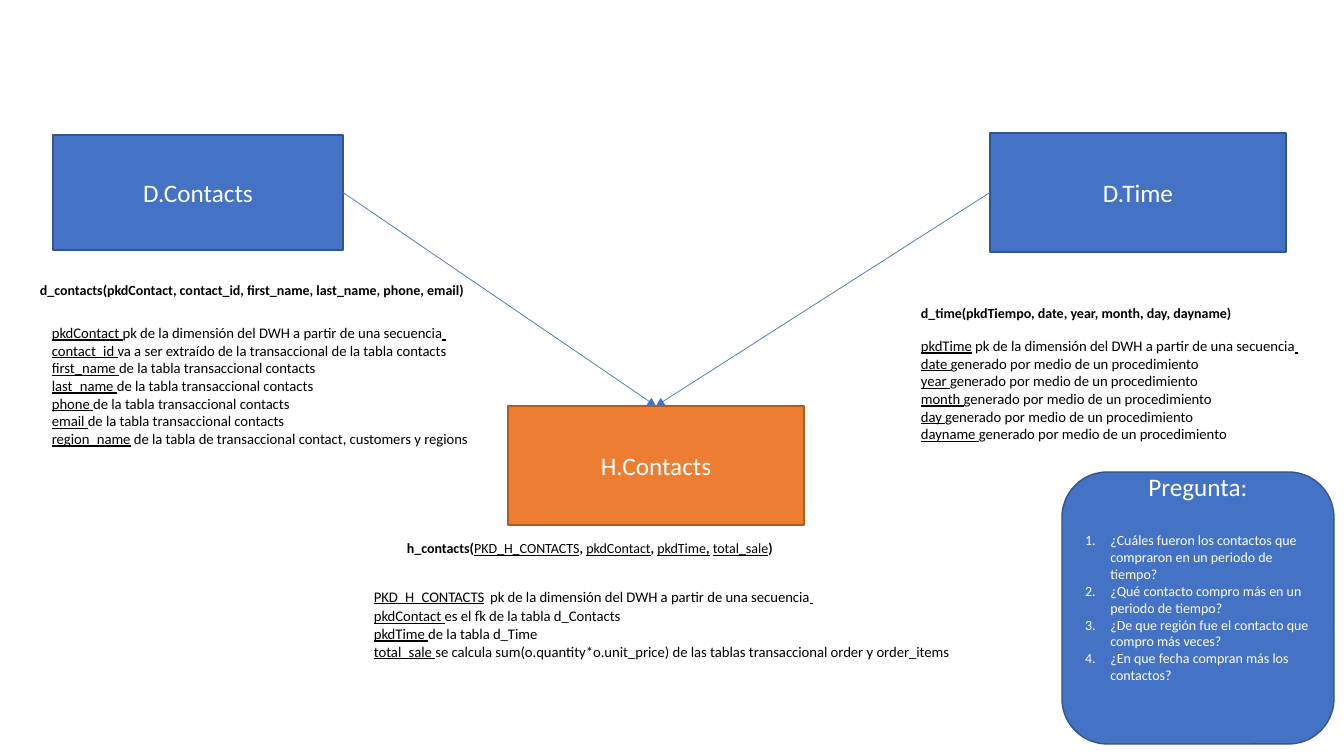
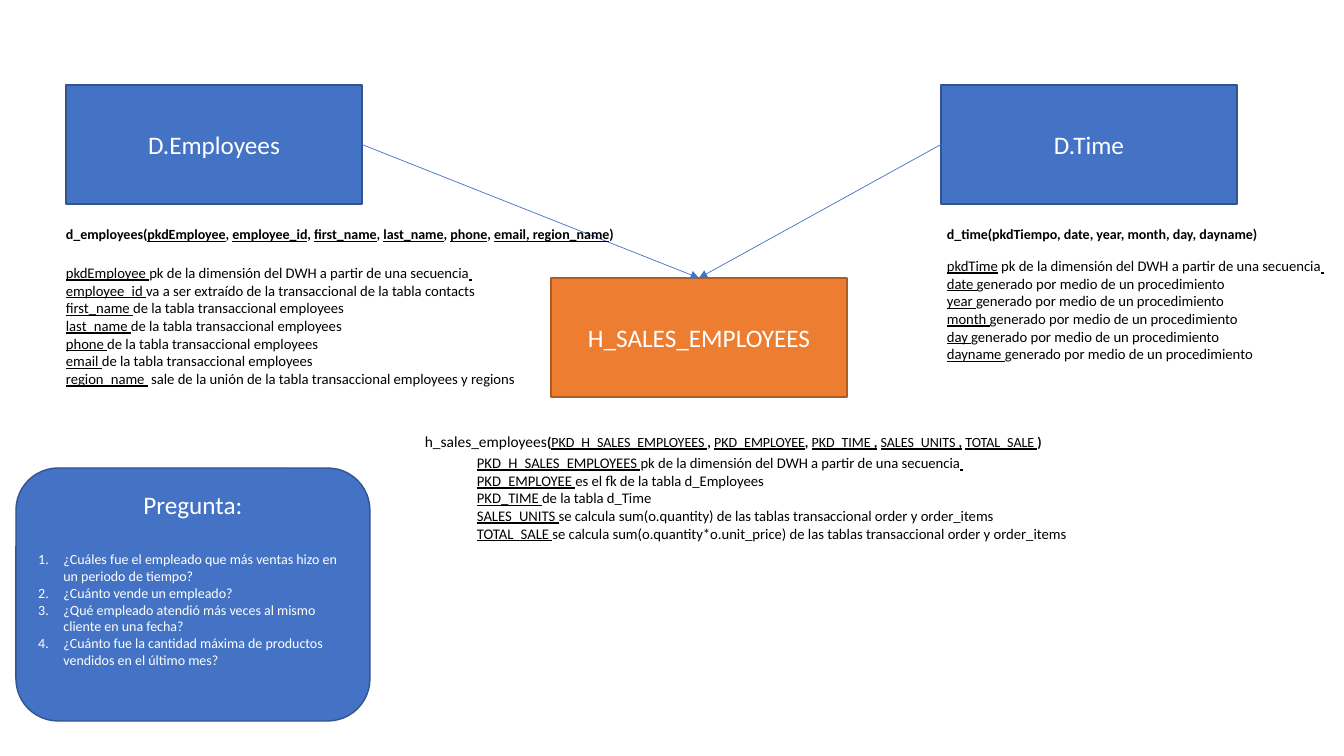
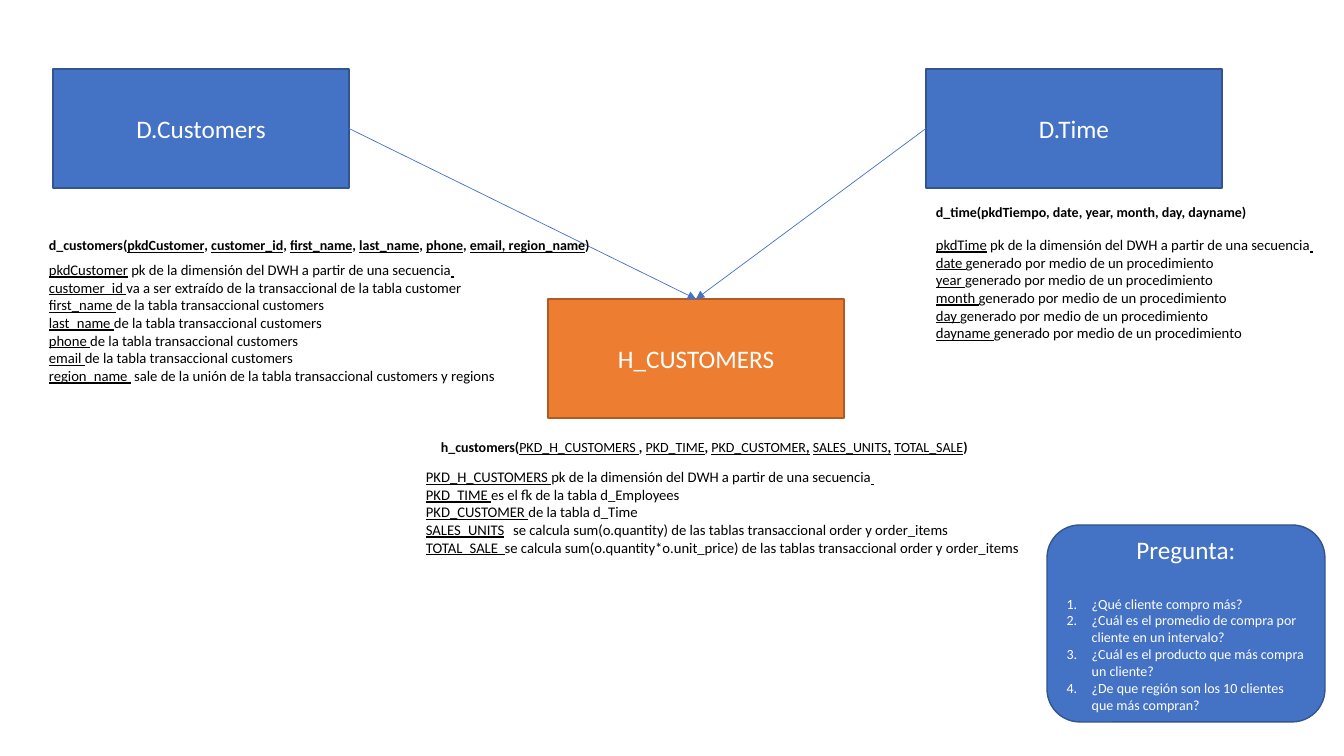
from lxml import etree
from pptx import Presentation
from pptx.dml.color import RGBColor
from pptx.enum.shapes import MSO_CONNECTOR, MSO_SHAPE
from pptx.enum.text import MSO_ANCHOR, MSO_AUTO_SIZE, PP_ALIGN
from pptx.oxml.ns import qn
from pptx.util import Emu, Pt

RECTANGLE = MSO_SHAPE.RECTANGLE
ROUNDED_RECTANGLE = MSO_SHAPE.ROUNDED_RECTANGLE
STRAIGHT = MSO_CONNECTOR.STRAIGHT
MIDDLE = MSO_ANCHOR.MIDDLE
FIT_TEXT = MSO_AUTO_SIZE.SHAPE_TO_FIT_TEXT
CENTER = PP_ALIGN.CENTER
LEFT = PP_ALIGN.LEFT

EMU_PER_PIXEL = 914400 / 100.8
SLIDE_SIZE = (1344, 756)
BLANK_LAYOUT = 6
TABLE_SIZE = (296, 119)
TOP_SITE, LEFT_SITE, RIGHT_SITE = 0, 1, 3
FONT = "Calibri"
COLORS = {
    "dimension": "4472C4",
    "dimension_line": "325491",
    "fact": "ED7D31",
    "fact_line": "AF5C24",
    "light_text": "FFFFFF",
    "dark_text": "000000",
}

KEY_NOTE = "pk de la dimensión del DWH a partir de una secuencia| "
UNITS_NOTE = "se calcula sum(o.quantity) de las tablas transaccional order y order_items"
SALE_NOTE = "se calcula sum(o.quantity*o.unit_price) de las tablas transaccional order y order_items"
PERSON_COLUMNS = ("first_name", "last_name", "phone", "email")
TIME_HEADING = "^d_time(pkdTiempo, date, year, month, day, dayname)"
TIME_NOTES = ["|pkdTime| " + KEY_NOTE] + [
    f"|{column} |generado por medio de un procedimiento"
    for column in ("date", "year", "month", "day", "dayname")
]


def px(length):
    """Turn pixels into EMU."""
    return Emu(round(length * EMU_PER_PIXEL))


def color(name):
    """Look up a named colour."""
    return RGBColor.from_string(COLORS[name])


def set_font(paragraph, size, color_name):
    """Set the font of a whole paragraph."""
    paragraph.font.name = FONT
    paragraph.font.size = Pt(size)
    paragraph.font.color.rgb = color(color_name)


def add_runs(paragraph, text):
    """Add runs, where | toggles underline and ^ toggles bold."""
    underlined = False
    for bold_index, stretch in enumerate(text.split("^")):
        for underline_index, part in enumerate(stretch.split("|")):
            if underline_index:
                underlined = not underlined
            if part:
                run = paragraph.add_run()
                run.text = part
                run.font.bold = bold_index % 2 == 1
                run.font.underline = underlined


def add_text(slide, box, lines, size):
    """Add a text box with one paragraph for each line."""
    frame = slide.shapes.add_textbox(*map(px, box)).text_frame
    frame.word_wrap = True
    frame.auto_size = FIT_TEXT
    for index, line in enumerate(lines):
        paragraph = frame.add_paragraph() if index else frame.paragraphs[0]
        set_font(paragraph, size, "dark_text")
        add_runs(paragraph, line)
    return frame.paragraphs


def add_heading(slide, box, text):
    """Add the line that names a table and its columns."""
    return add_text(slide, box, [text], 10)[0]


def add_notes(slide, box, lines):
    """Add the lines that explain each column."""
    return add_text(slide, box, lines, 10.5)


def add_box(slide, preset, box, text, kind):
    """Add a filled shape with a centred caption."""
    shape = slide.shapes.add_shape(preset, *map(px, box))
    shape.shadow.inherit = False
    shape.fill.solid()
    shape.fill.fore_color.rgb = color(kind)
    shape.line.color.rgb = color(kind + "_line")
    shape.line.width = Pt(1)
    frame = shape.text_frame
    frame.word_wrap = True
    frame.vertical_anchor = MIDDLE
    caption = frame.paragraphs[0]
    caption.text = text
    caption.alignment = CENTER
    set_font(caption, 18, "light_text")
    return shape


def add_table_box(slide, position, text, kind="dimension", size=TABLE_SIZE):
    """Add the rectangle that stands for a table."""
    return add_box(slide, RECTANGLE, position + size, text, kind)


def add_arrow(slide, dimension, site, fact):
    """Join a dimension to the top of the fact table."""
    connector = slide.shapes.add_connector(STRAIGHT, 0, 0, 0, 0)
    connector.begin_connect(dimension, site)
    connector.end_connect(fact, TOP_SITE)
    connector.line.color.rgb = color("dimension")
    connector.line.width = Pt(0.5)
    properties = connector.element.spPr
    etree.SubElement(properties.find(qn("a:ln")), qn("a:tailEnd"), type="triangle")
    etree.SubElement(properties, qn("a:effectLst"))


def add_star(slide, fact, dimension, time):
    """Join both dimensions to the fact table."""
    add_arrow(slide, dimension, RIGHT_SITE, fact)
    add_arrow(slide, time, LEFT_SITE, fact)


def add_time_text(slide, left, heading_top, notes_top):
    """Add the heading and notes of the time dimension."""
    add_heading(slide, (left, heading_top, 388, 27), TIME_HEADING)
    add_notes(slide, (left, notes_top, 422, 117), TIME_NOTES)


def add_questions(slide, box, questions, lift=0):
    """Add the panel of numbered questions, with room below in points."""
    frame = add_box(slide, ROUNDED_RECTANGLE, box, "Pregunta:", "dimension").text_frame
    frame.margin_bottom = Pt(3.6 + lift)
    frame.paragraphs[0].space_after = Pt(22)
    for question in questions:
        paragraph = frame.add_paragraph()
        paragraph.text = question
        paragraph.alignment = LEFT
        set_font(paragraph, 10, "light_text")
        properties = paragraph._p.get_or_add_pPr()
        properties.set("marL", "228600")
        properties.set("indent", "-228600")
        bullet = etree.Element(qn("a:buAutoNum"), type="arabicPeriod")
        properties.insert_element_before(bullet, "a:tabLst", "a:defRPr", "a:extLst")


def person_notes(table):
    """List the notes of the columns taken straight from a table."""
    return [f"|{column} |de la tabla transaccional {table}" for column in PERSON_COLUMNS]


def person_heading(name, key, identifier):
    """Write a dimension heading with each column underlined."""
    columns = (key, identifier, "first_name", "last_name", "phone", "email, region_name")
    return f"^{name}(" + ", ".join(f"|{column}|" for column in columns) + ")"


def build_contacts(slide):
    """Draw the contacts star."""
    fact = add_table_box(slide, (508, 406), "H.Contacts", "fact")
    contacts = add_table_box(slide, (53, 135), "D.Contacts", size=(290, 115))
    time = add_table_box(slide, (990, 133), "D.Time")
    add_star(slide, fact, contacts, time)
    add_heading(slide, (30, 277, 458, 27),
                "^d_contacts(pkdContact, contact_id, first_name, last_name, phone, email)")
    add_notes(slide, (42, 319, 466, 135), [
        "|pkdContact |" + KEY_NOTE,
        "|contact_id |va a ser extraído de la transaccional de la tabla contacts",
        *person_notes("contacts"),
        "|region_name| de la tabla de transaccional contact, customers y regions",
    ])
    add_heading(slide, (397, 535, 559, 27),
                "^h_contacts(^|PKD_H_CONTACTS|^, ^|pkdContact|^, ^|pkdTime^,| ^|total_sale|^)")
    notes = add_notes(slide, (364, 572, 654, 112), [
        "|PKD_H_CONTACTS| ^^" + KEY_NOTE,
        "|pkdContact |es el fk de la tabla d_Contacts",
        "|pkdTime |de la tabla d_Time",
        "|total_sale |" + SALE_NOTE,
    ])
    notes[0].runs[1].font.size = Pt(18)
    add_time_text(slide, 911, 300, 332)
    add_questions(slide, (1062, 472, 272, 272), [
        "¿Cuáles fueron los contactos que compraron en un periodo de tiempo?",
        "¿Qué contacto compro más en un periodo de tiempo?",
        "¿De que región fue el contacto que compro más veces?",
        "¿En que fecha compran más los contactos?",
    ], lift=44)


def build_employees(slide):
    """Draw the employee sales star."""
    fact = add_table_box(slide, (551, 278), "H_SALES_EMPLOYEES", "fact")
    employees = add_table_box(slide, (66, 85), "D.Employees")
    time = add_table_box(slide, (941, 85), "D.Time")
    add_star(slide, fact, employees, time)
    add_heading(slide, (56, 221, 600, 27),
                person_heading("d_employees", "pkdEmployee", "employee_id"))
    add_notes(slide, (56, 259, 495, 135), [
        "|pkdEmployee |" + KEY_NOTE,
        "|employee_id |va a ser extraído de la transaccional de la tabla contacts",
        *person_notes("employees"),
        "|region_name | sale de la unión de la tabla transaccional employees y regions",
    ])
    heading = add_heading(
        slide, (415, 427, 771, 29),
        "h_sales_employees^(^|PKD_H_SALES_EMPLOYEES |^, ^|PKD_EMPLOYEE|^, ^"
        "|PKD_TIME ^,| ^|SALES_UNITS ^,| ^|TOTAL_SALE |^)")
    heading.runs[0].font.size = Pt(11)
    add_notes(slide, (467, 449, 712, 99), [
        "|PKD_H_SALES_EMPLOYEES |" + KEY_NOTE,
        "|PKD_EMPLOYEE |es el fk de la tabla d_Employees",
        "|PKD_TIME |de la tabla d_Time",
        "|SALES_UNITS |" + UNITS_NOTE,
        "|TOTAL_SALE |" + SALE_NOTE,
    ])
    add_time_text(slide, 937, 221, 252)
    add_questions(slide, (16, 468, 354, 253), [
        "¿Cuáles fue el empleado que más ventas hizo en un periodo de tiempo?",
        "¿Cuánto vende un empleado?",
        "¿Qué empleado atendió más veces al mismo cliente en una fecha?",
        "¿Cuánto fue la cantidad máxima de productos vendidos en el último mes?",
    ], lift=22)


def build_customers(slide):
    """Draw the customers star."""
    fact = add_table_box(slide, (548, 299), "H_CUSTOMERS", "fact")
    customers = add_table_box(slide, (53, 69), "D.Customers")
    time = add_table_box(slide, (926, 69), "D.Time")
    add_star(slide, fact, customers, time)
    add_heading(slide, (39, 232, 573, 27),
                person_heading("d_customers", "pkdCustomer", "customer_id"))
    add_notes(slide, (39, 256, 472, 135), [
        "|pkdCustomer| " + KEY_NOTE,
        "|customer_id |va a ser extraído de la transaccional de la tabla customer",
        *person_notes("customers"),
        "|region_name | sale de la unión de la tabla transaccional customers y regions",
    ])
    add_heading(slide, (431, 434, 731, 27),
                "^h_customers(^|PKD_H_CUSTOMERS |^, ^|PKD_TIME|^, ^"
                "|PKD_CUSTOMER^,| ^|SALES_UNITS^,| ^|TOTAL_SALE|^)")
    notes = add_notes(slide, (416, 463, 631, 99), [
        "|PKD_H_CUSTOMERS |" + KEY_NOTE,
        "|PKD_TIME |es el fk de la tabla d_Employees",
        "|PKD_CUSTOMER |de la tabla d_Time",
        "|SALES_UNITS| ^^" + UNITS_NOTE,
        "|TOTAL_SALE  |" + SALE_NOTE,
    ])
    notes[3].runs[1].font.name = "DejaVu Sans Mono"
    add_time_text(slide, 926, 199, 231)
    add_questions(slide, (1047, 525, 278, 197), [
        "¿Qué cliente compro más?",
        "¿Cuál es el promedio de compra por cliente en un intervalo?",
        "¿Cuál es el producto que más compra un cliente?",
        "¿De que región son los 10 clientes que más compran?",
    ])


def main():
    """Build and save the presentation."""
    presentation = Presentation()
    presentation.slide_width, presentation.slide_height = map(px, SLIDE_SIZE)
    layout = presentation.slide_layouts[BLANK_LAYOUT]
    for build in (build_contacts, build_employees, build_customers):
        build(presentation.slides.add_slide(layout))
    presentation.save("out.pptx")


main()
